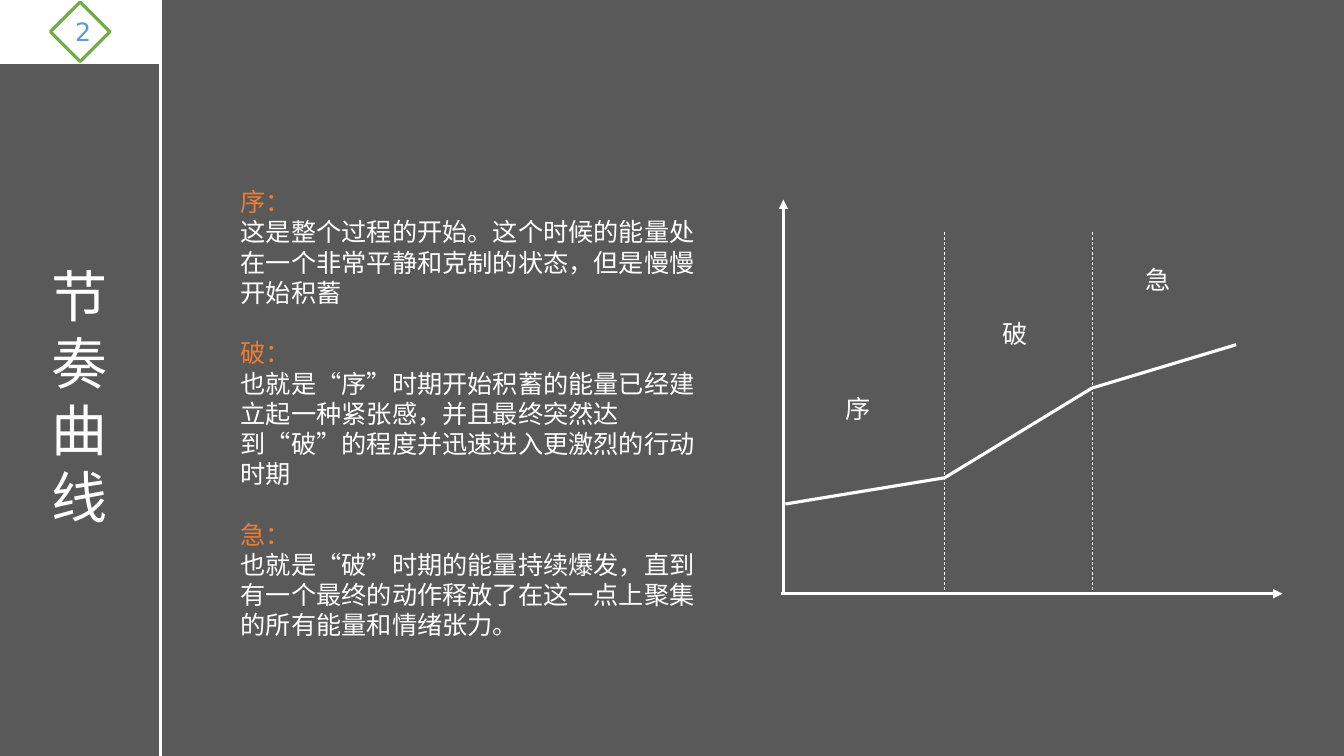
from pptx import Presentation
from pptx.dml.color import RGBColor
from pptx.enum.dml import MSO_LINE
from pptx.enum.lang import MSO_LANGUAGE_ID
from pptx.enum.shapes import MSO_CONNECTOR, MSO_SHAPE
from pptx.enum.text import MSO_ANCHOR, MSO_AUTO_SIZE, PP_ALIGN
from pptx.oxml.ns import qn
from pptx.util import Inches, Pt
from lxml.etree import SubElement

WHITE = RGBColor(0xFF, 0xFF, 0xFF)
GRAY = RGBColor(0x59, 0x59, 0x59)
GREEN = RGBColor(0x70, 0xAD, 0x47)
BLUE = RGBColor(0x5B, 0x9B, 0xD5)
ORANGE = RGBColor(0xED, 0x7D, 0x31)
FONT = "DejaVu Sans"

PARTS = [
    ("序：", "这是整个过程的开始。这个时候的能量处在一个非常平静和克制的状态，但是慢慢开始积蓄"),
    ("破：", "也就是“序”时期开始积蓄的能量已经建立起一种紧张感，并且最终突然达到“破”的程度并迅速进入更激烈的行动时期"),
    ("急：", "也就是“破”时期的能量持续爆发，直到有一个最终的动作释放了在这一点上聚集的所有能量和情绪张力。"),
]


def style(para, color, size=18):
    """Format every run of a paragraph."""
    for run in para.runs:
        font = run.font
        font.name, font.size = FONT, Pt(size)
        font.color.rgb = color
        font.language_id = MSO_LANGUAGE_ID.SIMPLIFIED_CHINESE


def add_line(shapes, start, end, width=2.25, arrow=False, dash=False):
    """Draw a white straight line between two points in inches."""
    line = shapes.add_connector(
        MSO_CONNECTOR.STRAIGHT, *map(Inches, (*start, *end)))
    line.line.color.rgb = WHITE
    line.line.width = Pt(width)
    if dash:
        line.line.dash_style = MSO_LINE.DASH
    if arrow:
        SubElement(line.line._get_or_add_ln(), qn("a:tailEnd"), type="triangle")
    SubElement(line._element.spPr, qn("a:effectLst"))


def add_shape(shapes, kind, box, edge, width):
    """Draw a preset shape with a coloured outline."""
    shape = shapes.add_shape(kind, *map(Inches, box))
    shape.shadow.inherit = False
    shape.line.color.rgb = edge
    shape.line.width = Pt(width)
    return shape


def add_badge(slide, left, top, width, height):
    """Place the white corner block with its numbered diamond."""
    shapes = slide.shapes.add_group_shape().shapes
    block = add_shape(shapes, MSO_SHAPE.RECTANGLE,
                      (left, top, width, height), WHITE, 1.5)
    block.fill.solid()
    block.fill.fore_color.rgb = WHITE
    side = height - 0.04
    mark = add_shape(shapes, MSO_SHAPE.DIAMOND,
                     (left + (width - side) / 2, top + 0.02, side, side),
                     GREEN, 2.25)
    mark.fill.background()
    frame = mark.text_frame
    frame.text = "2"
    frame.vertical_anchor = MSO_ANCHOR.MIDDLE
    frame.paragraphs[0].alignment = PP_ALIGN.CENTER
    style(frame.paragraphs[0], BLUE)


def add_side(slide, left, top, width, height):
    """Build the side band: divider, badge and upright title."""
    edge = left + width
    add_line(slide.shapes, (edge, top), (edge, top + height))
    add_badge(slide, left, top, width, 0.63)
    title = slide.shapes.title
    title.left, title.top = Inches(left + 0.28), Inches(top + 2.54)
    title.width, title.height = Inches(1.02), Inches(2.79)
    frame = title.text_frame
    frame.text = "节奏曲线"
    frame.word_wrap = True
    frame.auto_size = MSO_AUTO_SIZE.NONE
    frame.vertical_anchor = MSO_ANCHOR.TOP
    frame.paragraphs[0].alignment = PP_ALIGN.CENTER
    style(frame.paragraphs[0], WHITE, 40)


def add_notes(slide, left, top, width, height):
    """Write the three headed paragraphs."""
    box = slide.shapes.add_textbox(*map(Inches, (left, top, width, height)))
    frame = box.text_frame
    frame.word_wrap = True
    for i, (name, body) in enumerate(PARTS):
        head = frame.add_paragraph() if i else frame.paragraphs[0]
        head.text = name
        if i:
            head.space_before = Pt(21.6)
        style(head, ORANGE)
        para = frame.add_paragraph()
        para.text = body
        style(para, WHITE)


def add_curve(slide, left, top, width, height):
    """Draw the axes, the rhythm curve, its dividers and stage labels."""
    shapes = slide.shapes
    base = top + height
    add_line(shapes, (left, base), (left + width, base), arrow=True)
    add_line(shapes, (left + 0.02, base), (left + 0.02, top), arrow=True)
    knots = [(left + x, top + y) for x, y in
             ((0.04, 3.02), (1.62, 2.76), (3.08, 1.87), (4.51, 1.44))]
    for start, end in zip(knots, knots[1:]):
        add_line(shapes, start, end)
    for x, _ in knots[1:3]:
        add_line(shapes, (x, top + 0.32), (x, base), 0.5, dash=True)
    for name, x, y in (("序", 0.54, 1.87), ("破", 2.09, 1.13), ("急", 3.51, 0.59)):
        label = shapes.add_textbox(
            *map(Inches, (left + x, top + y, 0.55, 0.4)))
        label.text_frame.word_wrap = True
        label.text_frame.text = name
        style(label.text_frame.paragraphs[0], WHITE)


def main():
    """Build and save the slide."""
    deck = Presentation()
    deck.slide_width, deck.slide_height = Inches(13.33), Inches(7.5)
    slide = deck.slides.add_slide(deck.slide_layouts[5])
    slide.background.fill.solid()
    slide.background.fill.fore_color.rgb = GRAY
    add_side(slide, 0, 0, 1.59, 7.5)
    add_curve(slide, 7.75, 1.98, 4.97, 3.91)
    add_notes(slide, 2.29, 1.8, 4.93, 4.34)
    deck.save("out.pptx")


if __name__ == "__main__":
    main()
